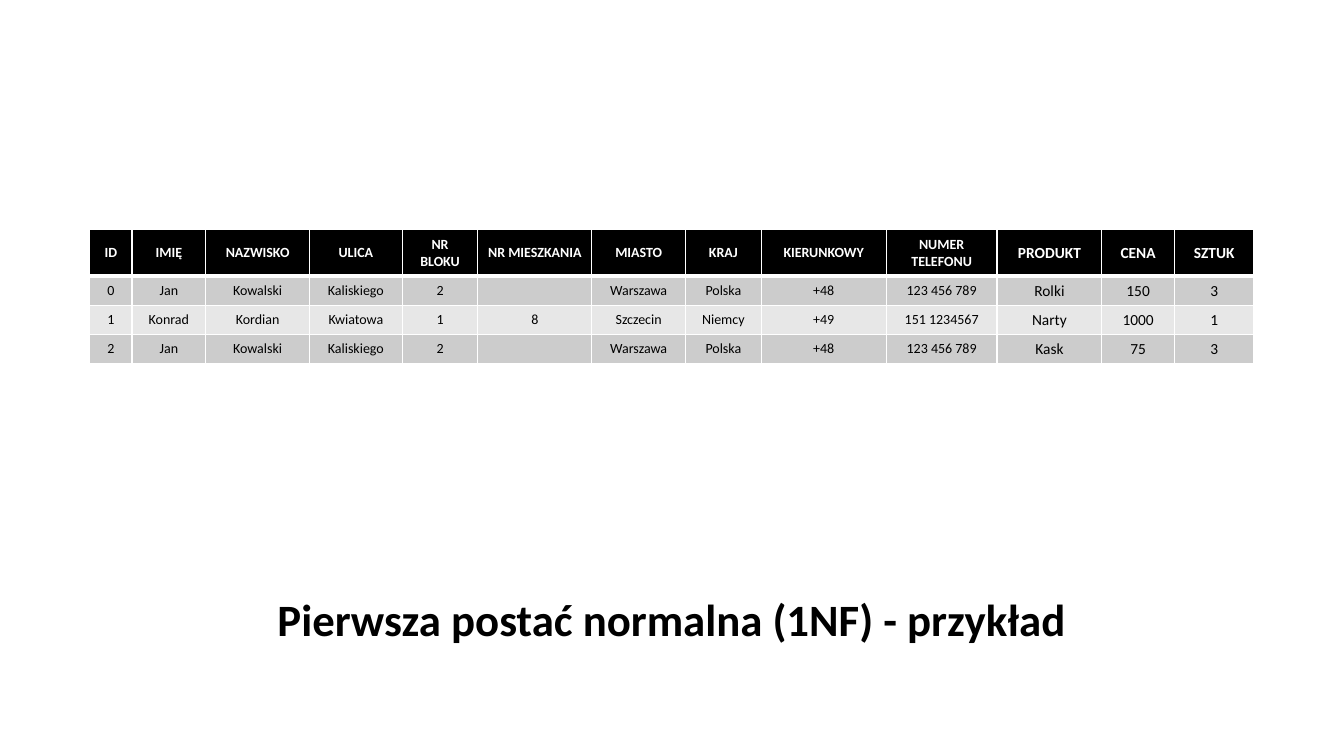
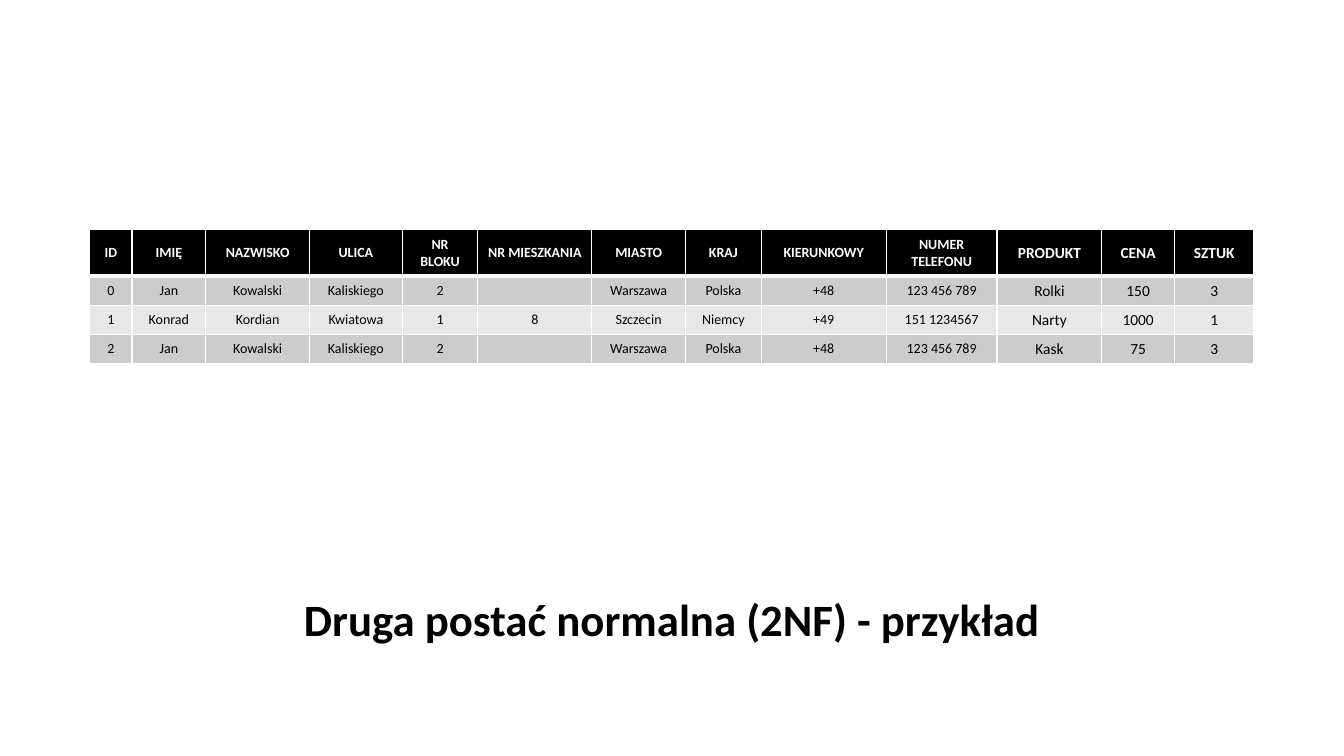
"""Build two slides that show one order table under normal forms."""
from dataclasses import dataclass

from lxml import etree
from pptx import Presentation
from pptx.dml.color import RGBColor
from pptx.enum.text import MSO_ANCHOR, PP_ALIGN
from pptx.oxml.ns import qn
from pptx.util import Inches, Pt

CENTER = PP_ALIGN.CENTER
MIDDLE = MSO_ANCHOR.MIDDLE
BOTTOM = MSO_ANCHOR.BOTTOM


@dataclass(frozen=True)
class Theme:
    font: str = "Calibri"
    black: str = "000000"
    white: str = "FFFFFF"
    bands: tuple = ("CCCCCC", "E7E7E7")
    title: int = 32
    small: int = 10
    large: int = 11
    thin: int = 1
    thick: int = 3


THEME = Theme()
TITLES = (
    "Pierwsza postać normalna (1NF) - przykład",
    "Druga postać normalna (2NF) - przykład",
)
WIDTHS = (0.42, 0.73, 1.03, 0.92, 0.75, 1.13, 0.93, 0.75, 1.24, 1.1, 1.04, 0.72, 0.79)
HEIGHTS = (0.46, 0.29, 0.29, 0.29)
GOODS = 10
ROWS = (
    ("ID", "IMIĘ", "NAZWISKO", "ULICA", "NR BLOKU", "NR MIESZKANIA", "MIASTO",
     "KRAJ", "KIERUNKOWY", "NUMER TELEFONU", "PRODUKT", "CENA", "SZTUK"),
    ("0", "Jan", "Kowalski", "Kaliskiego", "2", "", "Warszawa",
     "Polska", "+48", "123 456 789", "Rolki", "150", "3"),
    ("1", "Konrad", "Kordian", "Kwiatowa", "1", "8", "Szczecin",
     "Niemcy", "+49", "151 1234567", "Narty", "1000", "1"),
    ("2", "Jan", "Kowalski", "Kaliskiego", "2", "", "Warszawa",
     "Polska", "+48", "123 456 789", "Kask", "75", "3"),
)


def apply(target, form):
    for name, value in form.items():
        setattr(target, name, value)


def write(para, text, size, color, bold):
    para.alignment = CENTER
    if not text:
        etree.SubElement(para._p, qn("a:endParaRPr"), sz=str(size * 100))
        return
    run = para.add_run()
    run.text = text
    apply(run.font, {"name": THEME.font, "size": Pt(size), "bold": bold})
    run.font.color.rgb = RGBColor.from_string(color)


def add_title(slide, text):
    box = slide.shapes.add_textbox(Inches(1.89), Inches(5.58), Inches(9.55), Inches(0.88))
    frame = box.text_frame
    apply(frame, {"word_wrap": True, "vertical_anchor": BOTTOM})
    para = frame.paragraphs[0]
    para.line_spacing = 0.9
    write(para, text, THEME.title, THEME.black, True)


def add_edges(cell, row):
    edges = {
        "L": THEME.thin,
        "R": THEME.thin,
        "T": THEME.thick if row == 1 else THEME.thin,
        "B": THEME.thick if row == 0 else THEME.thin,
    }
    props = cell._tc.get_or_add_tcPr()
    for side, width in edges.items():
        line = etree.SubElement(props, qn(f"a:ln{side}"), w=str(Pt(width)))
        fill = etree.SubElement(line, qn("a:solidFill"))
        etree.SubElement(fill, qn("a:srgbClr"), val=THEME.white)


def fill_cell(cell, text, row, col):
    head, goods = row == 0, col >= GOODS
    side, edge = (0.05, 0.03) if goods and not head else (0.09, 0.05)
    apply(cell, {
        "margin_left": Inches(side),
        "margin_right": Inches(side),
        "margin_top": Inches(edge),
        "margin_bottom": Inches(edge),
        "vertical_anchor": MIDDLE,
    })
    add_edges(cell, row)
    cell.fill.solid()
    back = THEME.black if head else THEME.bands[(row - 1) % 2]
    cell.fill.fore_color.rgb = RGBColor.from_string(back)
    size = THEME.large if goods else THEME.small
    color = THEME.white if head else THEME.black
    write(cell.text_frame.paragraphs[0], text, size, color, head)


def add_grid(slide):
    frame = slide.shapes.add_table(
        len(ROWS), len(WIDTHS), Inches(0.89), Inches(2.28),
        Inches(sum(WIDTHS)), Inches(sum(HEIGHTS)))
    table = frame.table
    table.horz_banding = False
    for column, width in zip(table.columns, WIDTHS):
        column.width = Inches(width)
    for line, height in zip(table.rows, HEIGHTS):
        line.height = Inches(height)
    for row, texts in enumerate(ROWS):
        for col, text in enumerate(texts):
            fill_cell(table.cell(row, col), text, row, col)


def main():
    deck = Presentation()
    apply(deck, {"slide_width": Inches(13.33), "slide_height": Inches(7.5)})
    for title in TITLES:
        slide = deck.slides.add_slide(deck.slide_layouts[6])
        add_title(slide, title)
        add_grid(slide)
    deck.save("out.pptx")


if __name__ == "__main__":
    main()
